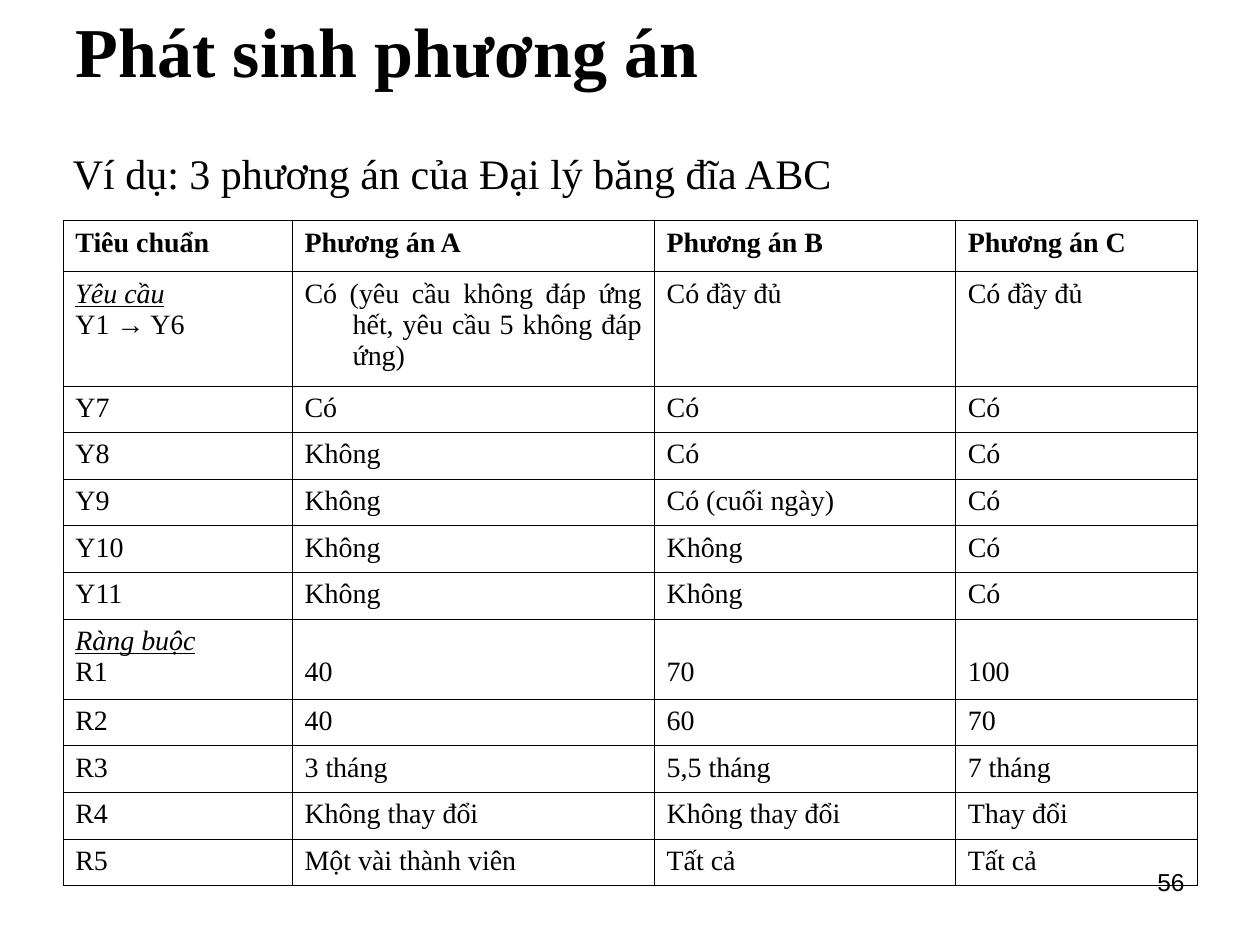
from dataclasses import dataclass

from lxml import etree
from pptx import Presentation
from pptx import util as u
from pptx.dml.color import RGBColor
from pptx.enum import text
from pptx.oxml import ns


@dataclass(frozen=True)
class Theme:
    """Colours, fonts and sizes of the slide."""
    ink: str = "000000"
    serif: str = "Times New Roman"
    sans: str = "Arial"
    title_size: float = 40
    subtitle_size: float = 24
    table_size: float = 16
    number_size: float = 14
    border: float = 0.45


THEME = Theme()
COLUMN_WIDTHS = (4.62, 7.3, 6.07, 4.87)
ROW_HEIGHT = 0.94
TALL_ROWS = {0: 1.03, 1: 2.3, 7: 1.61}
HANGING_INDENT = 0.97
CELL_MARGINS = (0.25, 0.13)
SECOND_LINE_TOP = 0.75
CRITERIA = (
    ("Tiêu chuẩn", "Phương án A", "Phương án B", "Phương án C"),
    ("Yêu cầu\nY1 → Y6",
     "Có (yêu cầu không đáp ứng hết, yêu cầu 5 không đáp ứng)",
     "Có đầy đủ", "Có đầy đủ"),
    ("Y7", "Có", "Có", "Có"),
    ("Y8", "Không", "Có", "Có"),
    ("Y9", "Không", "Có (cuối ngày)", "Có"),
    ("Y10", "Không", "Không", "Có"),
    ("Y11", "Không", "Không", "Có"),
    ("Ràng buộc\nR1", "40", "70", "100"),
    ("R2", "40", "60", "70"),
    ("R3", "3 tháng", "5,5 tháng", "7 tháng"),
    ("R4", "Không thay đổi", "Không thay đổi", "Thay đổi"),
    ("R5", "Một vài thành viên", "Tất cả", "Tất cả"),
)


def format_run(run, size, font=THEME.serif, bold=False):
    """Set the typeface, size and colour of a run."""
    run.font.name = font
    run.font.size = u.Pt(size)
    run.font.bold = bold
    run.font.color.rgb = RGBColor.from_string(THEME.ink)


def place_title(slide, box, wording):
    """Move and format the title placeholder."""
    title = slide.shapes.title
    title.left, title.top, title.width, title.height = map(u.Cm, box)
    frame = title.text_frame
    frame.text = wording
    frame.auto_size = text.MSO_AUTO_SIZE.NONE
    frame.vertical_anchor = text.MSO_ANCHOR.MIDDLE
    paragraph = frame.paragraphs[0]
    paragraph.alignment = text.PP_ALIGN.LEFT
    format_run(paragraph.runs[0], THEME.title_size, bold=True)


def add_label(slide, box, wording, size, font, alignment):
    """Add a one-line text box."""
    frame = slide.shapes.add_textbox(*map(u.Cm, box)).text_frame
    frame.word_wrap = True
    frame.text = wording
    paragraph = frame.paragraphs[0]
    paragraph.alignment = alignment
    format_run(paragraph.runs[0], size, font)


def draw_borders(cell):
    """Draw a thin line on all four sides of a cell."""
    properties = cell._tc.get_or_add_tcPr()
    for index, side in enumerate(("lnL", "lnR", "lnT", "lnB")):
        line = etree.Element(ns.qn(f"a:{side}"), w=str(u.Pt(THEME.border)))
        fill = etree.SubElement(line, ns.qn("a:solidFill"))
        etree.SubElement(fill, ns.qn("a:srgbClr"), val=THEME.ink)
        properties.insert(index, line)


def write_paragraph(paragraph, line, bold, heading):
    """Write a justified line with a hanging indent, arrows in the sans font."""
    before, arrow, after = line.partition("→")
    for part in filter(None, (before, arrow, after)):
        run = paragraph.add_run()
        run.text = part
        font = THEME.sans if part == "→" else THEME.serif
        format_run(run, THEME.table_size, font, bold)
        run.font.italic = run.font.underline = heading
    paragraph.alignment = text.PP_ALIGN.JUSTIFY
    properties = paragraph._p.get_or_add_pPr()
    properties.set("marL", str(u.Cm(HANGING_INDENT)))
    properties.set("indent", str(-u.Cm(HANGING_INDENT)))


def fill_cell(cell, wording, bold, top_margin):
    """Write a cell, its first line as a group heading when there are two."""
    cell.fill.background()
    side, edge = map(u.Cm, CELL_MARGINS)
    cell.margin_left = cell.margin_right = side
    cell.margin_top, cell.margin_bottom = u.Cm(top_margin), edge
    draw_borders(cell)
    lines = wording.split("\n")
    for index, line in enumerate(lines):
        frame = cell.text_frame
        paragraph = frame.add_paragraph() if index else frame.paragraphs[0]
        write_paragraph(paragraph, line, bold, index < len(lines) - 1)


def add_criteria_table(slide, left, top):
    """Add the comparison of the three options."""
    heights = [TALL_ROWS.get(i, ROW_HEIGHT) for i in range(len(CRITERIA))]
    box = (left, top, sum(COLUMN_WIDTHS), sum(heights))
    table = slide.shapes.add_table(
        len(CRITERIA), len(COLUMN_WIDTHS), *map(u.Cm, box)).table
    table.first_row = table.horz_banding = False
    for column, width in zip(table.columns, COLUMN_WIDTHS):
        column.width = u.Cm(width)
    for index, (row, wordings) in enumerate(zip(table.rows, CRITERIA)):
        row.height = u.Cm(heights[index])
        for cell, wording in zip(row.cells, wordings):
            beside_heading = wordings[0].startswith("Ràng buộc") and cell is not None and "\n" not in wording
            top_margin = SECOND_LINE_TOP if beside_heading else CELL_MARGINS[1]
            fill_cell(cell, wording, index == 0, top_margin)


def main():
    """Build and save the slide."""
    presentation = Presentation()
    presentation.slide_width, presentation.slide_height = u.Cm(25.4), u.Cm(19.05)
    slide = presentation.slides.add_slide(presentation.slide_layouts[5])
    add_label(slide, (18.2, 17.35, 5.93, 1.32), "56",
              THEME.number_size, THEME.sans, text.PP_ALIGN.RIGHT)
    place_title(slide, (1.27, 0.76, 22.86, 0.46), "Phát sinh phương án")
    add_criteria_table(slide, 1.27, 4.45)
    add_label(slide, (1.22, 2.84, 17.2, 1.27),
              "Ví dụ: 3 phương án của Đại lý băng đĩa ABC",
              THEME.subtitle_size, THEME.serif, text.PP_ALIGN.LEFT)
    presentation.save("out.pptx")


if __name__ == "__main__":
    main()
